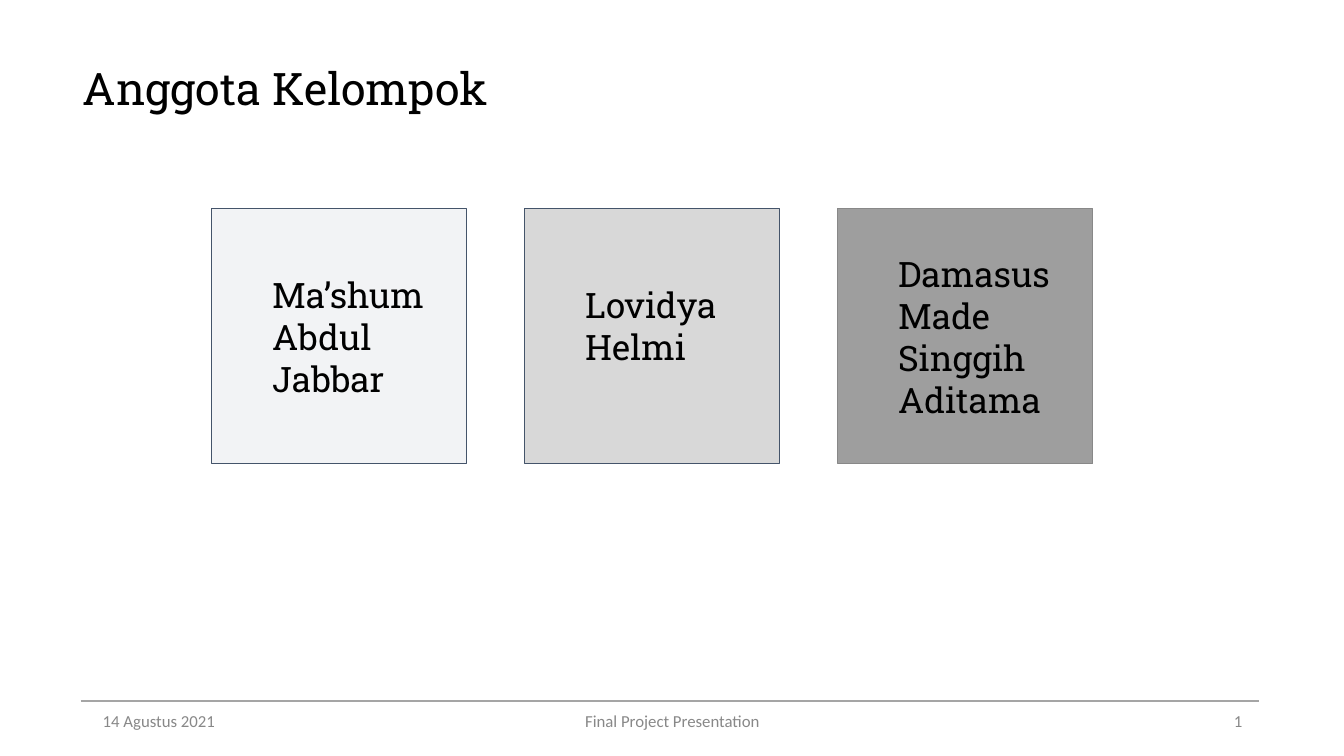
import pptx
import pptx.util
import pptx.dml.color
import pptx.enum.shapes
import pptx.enum.text
from lxml import etree

Inches = pptx.util.Inches
Align = pptx.enum.text.PP_ALIGN


def color(hex_code):
    return pptx.dml.color.RGBColor.from_string(hex_code)


def write(shape, text, size, font, ink, align=Align.LEFT):
    frame = shape.text_frame
    frame.word_wrap = True
    frame.vertical_anchor = pptx.enum.text.MSO_ANCHOR.MIDDLE
    paragraph = frame.paragraphs[0]
    paragraph.alignment = align
    run = paragraph.add_run()
    run.text = text
    run.font.size = pptx.util.Pt(size)
    run.font.name = font
    run.font.color.rgb = color(ink)
    return paragraph


deck = pptx.Presentation()
deck.slide_width, deck.slide_height = Inches(13.33), Inches(7.5)
slide = deck.slides.add_slide(deck.slide_layouts[6])

# Footer: date, presentation name, page number
footer_top = 6.95
for left, width, text, align in [
    (0.92, 3, "14 Agustus 2021", Align.LEFT),
    (4.42, 4.5, "Final Project Presentation", Align.CENTER),
    (9.42, 3, "1", Align.RIGHT),
]:
    footer = slide.shapes.add_textbox(
        Inches(left), Inches(footer_top), Inches(width), Inches(0.4))
    write(footer, text, 12, "Calibri", "888888", align)

# Title
title = slide.shapes.add_textbox(
    Inches(0.72), Inches(0.18), Inches(11.5), Inches(1.45))
write(title, "Anggota Kelompok", 32, "Roboto Slab", "000000").line_spacing = 0.9

# Rule above the footer
rule = slide.shapes.add_connector(
    pptx.enum.shapes.MSO_CONNECTOR.STRAIGHT,
    Inches(0.8), Inches(footer_top), Inches(12.49), Inches(footer_top))
rule.line.color.rgb = color("A5A5A5")
rule.line.width = pptx.util.Pt(1.5)
etree.SubElement(rule._element.spPr, pptx.oxml.ns.qn("a:effectLst"))

# Member cards in equal columns; the bottom inset lifts the shorter name
cards_left, cards_top, card_side, card_pitch = 2.1, 2.07, 2.53, 3.105
members = [
    ("Ma’shum Abdul Jabbar", "F2F3F5", "44546A", 0.1),
    ("Lovidya Helmi", "D8D8D8", "44546A", 0.32),
    ("Damasus Made Singgih Aditama", "9E9E9E", "888888", 0.1),
]
for column, (member, fill, border, bottom_inset) in enumerate(members):
    card = slide.shapes.add_shape(
        pptx.enum.shapes.MSO_SHAPE.RECTANGLE,
        Inches(cards_left + column * card_pitch), Inches(cards_top),
        Inches(card_side), Inches(card_side))
    card.shadow.inherit = False
    card.fill.solid()
    card.fill.fore_color.rgb = color(fill)
    card.line.color.rgb = color(border)
    card.line.width = pptx.util.Pt(0.75)
    name = write(card, member, 25, "Roboto Slab", "000000")
    indent = name._p.get_or_add_pPr()
    indent.set("marL", str(Inches(0.5)))
    indent.set("indent", "0")
    card.text_frame.margin_left = card.text_frame.margin_right = Inches(0.1)
    card.text_frame.margin_top = Inches(0.1)
    card.text_frame.margin_bottom = Inches(bottom_inset)

deck.save("out.pptx")
